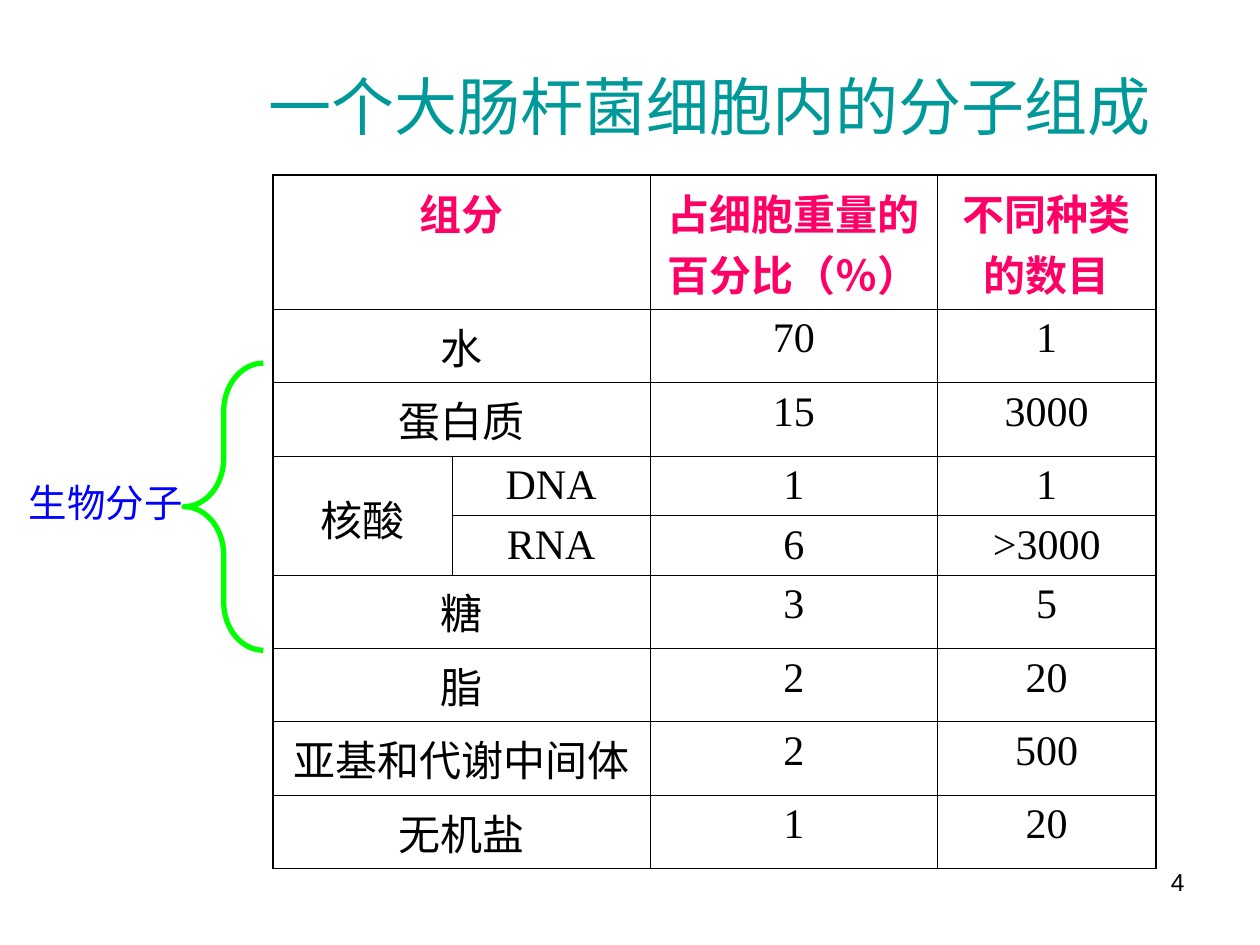
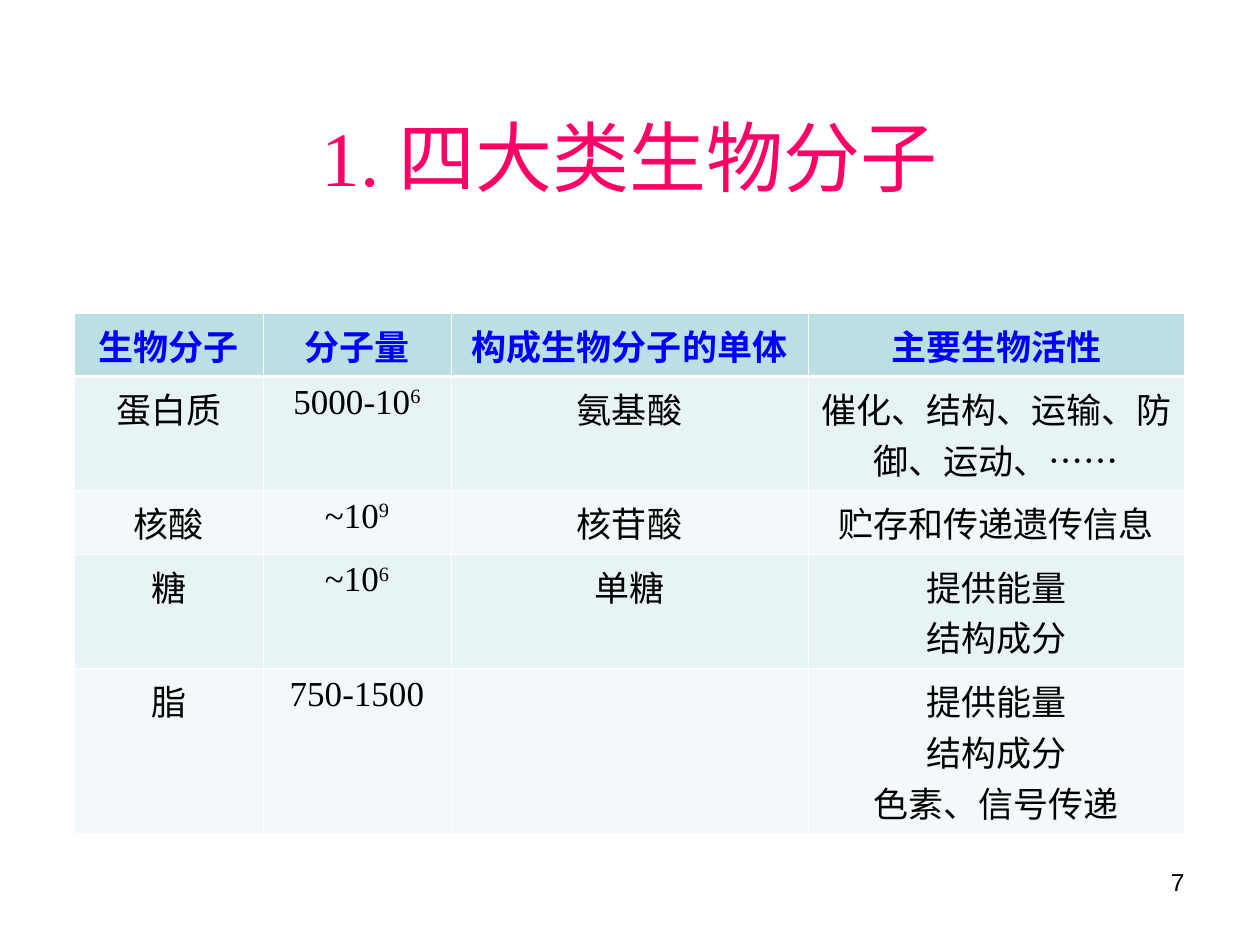
from dataclasses import dataclass

from lxml import etree
from pptx import Presentation
from pptx import util as u
from pptx.dml.color import RGBColor
from pptx.enum import lang, shapes, text
from pptx.oxml import ns


@dataclass(frozen=True)
class Theme:
    serif: str = "Times New Roman"
    sans: str = "Arial"
    black: str = "000000"
    white: str = "FFFFFF"
    teal: str = "009999"
    pink: str = "FF0066"
    blue: str = "0000FF"
    green: str = "00FF00"
    header_fill: str = "BBE0E3"
    band_fills: tuple = ("E7F3F4", "F3F9FA")
    title_size: int = 36
    section_size: int = 44
    composition_size: int = 24
    label_size: int = 22
    classes_size: int = 20
    number_size: int = 14
    brace_line: float = 3
    thin_line: float = 0.45
    outer_line: float = 1.08
    header_line: float = 1.47


THEME = Theme()

# None joins a cell to the one on its left, or in the first column to the one above.
COMPOSITION = [
    ("组分", None, "占细胞重量的百分比（％）", "不同种类的数目"),
    ("水", None, "70", "1"),
    ("蛋白质", None, "15", "3000"),
    ("核酸", "DNA", "1", "1"),
    (None, "RNA", "6", ">3000"),
    ("糖", None, "3", "5"),
    ("脂", None, "2", "20"),
    ("亚基和代谢中间体", None, "2", "500"),
    ("无机盐", None, "1", "20"),
]
NUCLEIC_ACID_ROWS = (3, 4)

# A caret starts a superscript; a line break starts a paragraph.
MOLECULE_CLASSES = [
    ("生物分子", "分子量", "构成生物分子的单体", "主要生物活性"),
    ("蛋白质", "5000-10^6", "氨基酸", "催化、结构、运输、防御、运动、……"),
    ("核酸", "~10^9", "核苷酸", "贮存和传递遗传信息"),
    ("糖", "~10^6", "单糖", "提供能量\n结构成分"),
    ("脂", "750-1500", "", "提供能量\n结构成分\n色素、信号传递"),
]

COMPOSITION_SLIDE = {
    "title": ("一个大肠杆菌细胞内的分子组成", (4.5, 0.53, 19.61, 3.18),
              THEME.title_size, THEME.teal),
    "number": "4",
    "table_at": (5.51, 3.53),
    "columns": (3.6, 4, 5.79, 4.4),
    "rows": (2.7, 1.48, 1.48, 1.2, 1.2, 1.48, 1.48, 1.48, 1.48),
}
CLASSES_SLIDE = {
    "title": ("1. 四大类生物分子", (1.27, 1.55, 22.86, 3.18),
              THEME.section_size, THEME.pink),
    "number": "7",
    "table_at": (1.5, 6.32),
    "columns": (3.8, 3.79, 7.2, 7.59),
    "rows": (1.27, 2.3, 1.28, 2.31, 3.32),
}
NUMBER_AREA = (18.21, 17.35, 5.92, 1.32)
LABEL_AREA = (0.33, 9.53, 3.61, 1.19)
BRACE_AREA = (3.71, 7.32, 1.6, 5.79)


def cm(lengths):
    return [u.Cm(length) for length in lengths]


def write(frame, content, align, size, color, name=THEME.serif, bold=False):
    """Fill a text frame, honouring line breaks and caret superscripts."""
    for index, line in enumerate(content.split("\n")):
        para = frame.paragraphs[0] if index == 0 else frame.add_paragraph()
        para.alignment = align
        for part, words in enumerate(line.split("^")):
            span = para.add_run()
            span.text = words
            formats = {"name": name, "size": u.Pt(size), "bold": bold,
                       "language_id": lang.MSO_LANGUAGE_ID.SIMPLIFIED_CHINESE}
            for key, value in formats.items():
                setattr(span.font, key, value)
            span.font.color.rgb = RGBColor.from_string(color)
            if part:
                span.font._element.set("baseline", "30000")


def add_text(page, area, content, align, size, color, name=THEME.serif,
             anchor=text.MSO_ANCHOR.TOP, wrap=True):
    box = page.shapes.add_textbox(*cm(area))
    box.text_frame.word_wrap = wrap
    box.text_frame.vertical_anchor = anchor
    write(box.text_frame, content, align, size, color, name)


def add_page(deck, plan):
    page = deck.slides.add_slide(deck.slide_layouts[6])
    title, area, size, color = plan["title"]
    add_text(page, area, title, text.PP_ALIGN.CENTER, size, color,
             anchor=text.MSO_ANCHOR.MIDDLE)
    add_text(page, NUMBER_AREA, plan["number"], text.PP_ALIGN.RIGHT,
             THEME.number_size, THEME.black, THEME.sans)
    return page


def set_borders(cell, color, widths):
    """Draw the left, right, top and bottom edges, in that order."""
    properties = cell._tc.get_or_add_tcPr()
    for index, (side, width) in enumerate(zip("LRTB", widths)):
        line = etree.Element(ns.qn(f"a:ln{side}"), w=str(u.Pt(width)))
        fill = etree.SubElement(line, ns.qn("a:solidFill"))
        etree.SubElement(fill, ns.qn("a:srgbClr"), val=color)
        properties.insert(index, line)


def add_grid(page, plan, content, style_cell):
    """Place a table, join its empty places and style each cell."""
    columns, rows = plan["columns"], plan["rows"]
    area = (*plan["table_at"], sum(columns), sum(rows))
    table = page.shapes.add_table(len(rows), len(columns), *cm(area)).table
    table.first_row = table.horz_banding = False
    for column, width in zip(table.columns, columns):
        column.width = u.Cm(width)
    for row, height in zip(table.rows, rows):
        row.height = u.Cm(height)
    for r, values in enumerate(content):
        for c, value in enumerate(values):
            cell = table.cell(r, c)
            if value is None:
                neighbour = table.cell(r, c - 1) if c else table.cell(r - 1, c)
                neighbour.merge(cell)
            style_cell(cell, r, c, value)
    return table


def style_composition(cell, r, c, value):
    cell.fill.background()
    last_row, last_column = len(COMPOSITION) - 1, len(COMPOSITION[0]) - 1
    on_edge = (c == 0, c == last_column, r == 0, r == last_row)
    set_borders(cell, THEME.black,
                [THEME.outer_line if outer else THEME.thin_line for outer in on_edge])
    if r in NUCLEIC_ACID_ROWS:
        cell.margin_bottom = u.Cm(0.03)
    if value:
        write(cell.text_frame, value, text.PP_ALIGN.CENTER, THEME.composition_size,
              THEME.black if r else THEME.pink, bold=r == 0)


def style_class(cell, r, c, value):
    fill = THEME.band_fills[(r - 1) % 2] if r else THEME.header_fill
    cell.fill.solid()
    cell.fill.fore_color.rgb = RGBColor.from_string(fill)
    set_borders(cell, THEME.white,
                (THEME.thin_line, THEME.thin_line,
                 THEME.header_line if r == 1 else THEME.thin_line,
                 THEME.header_line if r == 0 else THEME.thin_line))
    if value:
        write(cell.text_frame, value, text.PP_ALIGN.CENTER, THEME.classes_size,
              THEME.black if r else THEME.blue,
              THEME.serif if r and c == 1 else THEME.sans, bold=r == 0)


def add_brace(page):
    brace = page.shapes.add_shape(shapes.MSO_SHAPE.LEFT_BRACE, *cm(BRACE_AREA))
    brace.adjustments[0] = 0.61
    brace.shadow.inherit = False
    brace.fill.background()
    brace.line.color.rgb = RGBColor.from_string(THEME.green)
    brace.line.width = u.Pt(THEME.brace_line)


def main():
    deck = Presentation()
    deck.slide_width, deck.slide_height = cm((25.4, 19.05))

    page = add_page(deck, COMPOSITION_SLIDE)
    table = add_grid(page, COMPOSITION_SLIDE, COMPOSITION, style_composition)
    nucleic_acid = table.cell(NUCLEIC_ACID_ROWS[0], 0)
    nucleic_acid.vertical_anchor = text.MSO_ANCHOR.MIDDLE
    add_text(page, LABEL_AREA, "生物分子", text.PP_ALIGN.LEFT, THEME.label_size,
             THEME.blue, wrap=False)
    add_brace(page)

    page = add_page(deck, CLASSES_SLIDE)
    add_grid(page, CLASSES_SLIDE, MOLECULE_CLASSES, style_class)

    deck.save("out.pptx")


if __name__ == "__main__":
    main()
